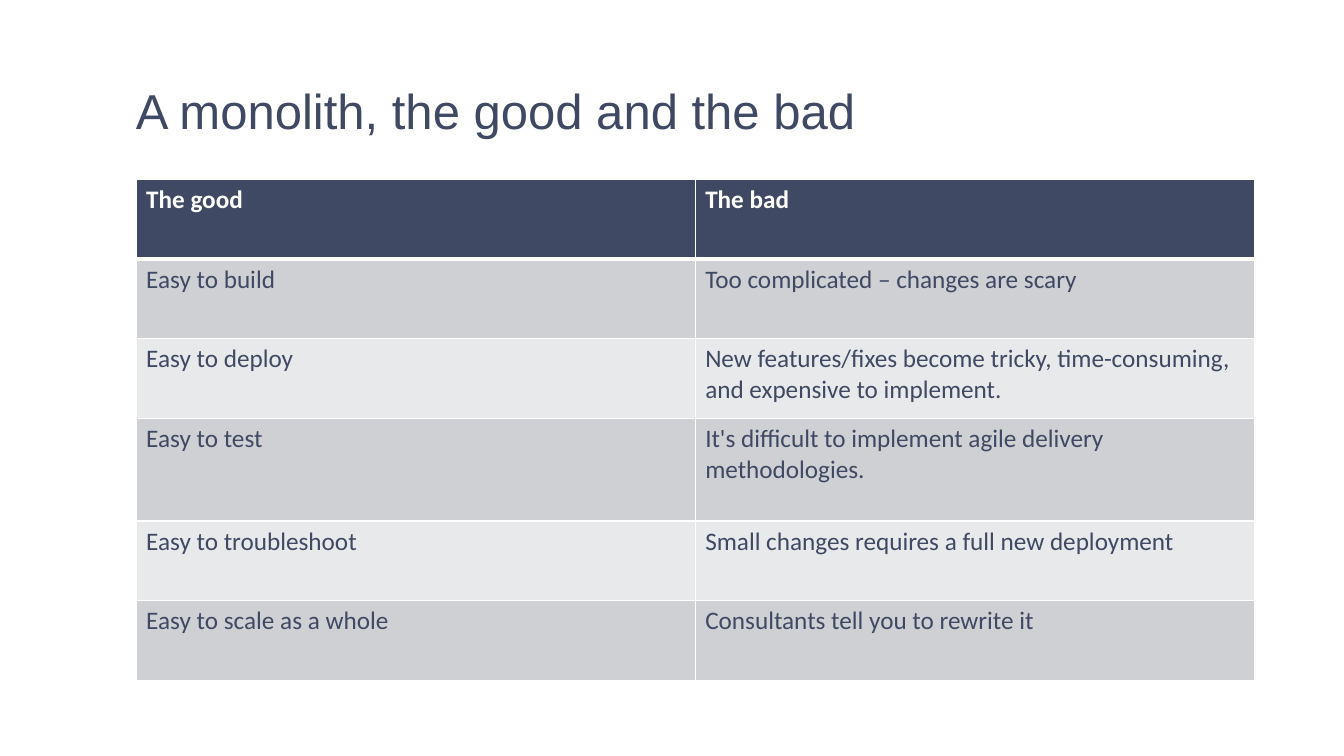
from dataclasses import dataclass

import pptx
import pptx.dml.color
import pptx.enum.text
import pptx.oxml
import pptx.oxml.ns
import pptx.util
from pptx.util import Inches

COLORS = {"navy": "3F4964", "white": "FFFFFF", "dark_band": "CFD0D3", "light_band": "E8E9EA"}


@dataclass
class Row:
    good: str
    bad: str
    height: float = 0.79


ROWS = [
    Row("The good", "The bad"),
    Row("Easy to build", "Too complicated – changes are scary"),
    Row("Easy to deploy",
        "New features/fixes become tricky, time-consuming, and expensive to implement."),
    Row("Easy to test", "It's difficult to implement agile delivery methodologies.", 1.02),
    Row("Easy to troubleshoot", "Small changes requires a full new deployment"),
    Row("Easy to scale as a whole", "Consultants tell you to rewrite it"),
]


def rgb(name: str) -> pptx.dml.color.RGBColor:
    return pptx.dml.color.RGBColor.from_string(COLORS[name])


def add_run(p, text: str, font: str, size: float, color: str, bold: bool = False) -> None:
    r = p.add_run()
    r.text = text
    r.font.name = font
    r.font.size = pptx.util.Pt(size)
    r.font.bold = bold
    r.font.color.rgb = rgb(color)


def set_borders(cell, top: float, bottom: float) -> None:
    """Draw white cell borders; widths are in points."""
    tcPr = cell._tc.get_or_add_tcPr()
    widths = {"lnL": 1, "lnR": 1, "lnT": top, "lnB": bottom}
    for i, (tag, width) in enumerate(widths.items()):
        tcPr.insert(i, pptx.oxml.parse_xml(
            f'<a:{tag} {pptx.oxml.ns.nsdecls("a")} w="{pptx.util.Pt(width)}">'
            f'<a:solidFill><a:srgbClr val="{COLORS["white"]}"/></a:solidFill></a:{tag}>'))


def add_title(s, text: str) -> None:
    sp = s.shapes.add_textbox(Inches(1.25), Inches(0.4), Inches(11.5), Inches(1.45))
    tf = sp.text_frame
    tf.word_wrap = True
    tf.vertical_anchor = pptx.enum.text.MSO_ANCHOR.MIDDLE
    p = tf.paragraphs[0]
    p.line_spacing = 0.9
    add_run(p, text, "Arial", 35, "navy")


def add_comparison(s, rows: list[Row]) -> None:
    height = sum(row.height for row in rows)
    table = s.shapes.add_table(len(rows), 2, Inches(1.35), Inches(1.78),
                               Inches(11.09), Inches(height)).table
    for i, row in enumerate(rows):
        table.rows[i].height = Inches(row.height)
        header = i == 0
        fill = "navy" if header else "dark_band" if i % 2 else "light_band"
        for cell, text in zip(table.rows[i].cells, (row.good, row.bad)):
            cell.fill.solid()
            cell.fill.fore_color.rgb = rgb(fill)
            set_borders(cell, top=3 if i == 1 else 1, bottom=3 if header else 1)
            add_run(cell.text_frame.paragraphs[0], text, "Calibri", 18,
                    "white" if header else "navy", bold=header)


def main() -> None:
    prs = pptx.Presentation()
    prs.slide_width, prs.slide_height = Inches(13.33), Inches(7.5)
    s = prs.slides.add_slide(prs.slide_layouts[6])

    # Title
    add_title(s, "A monolith, the good and the bad")

    # Table of pros and cons
    add_comparison(s, ROWS)

    prs.save("out.pptx")


if __name__ == "__main__":
    main()
